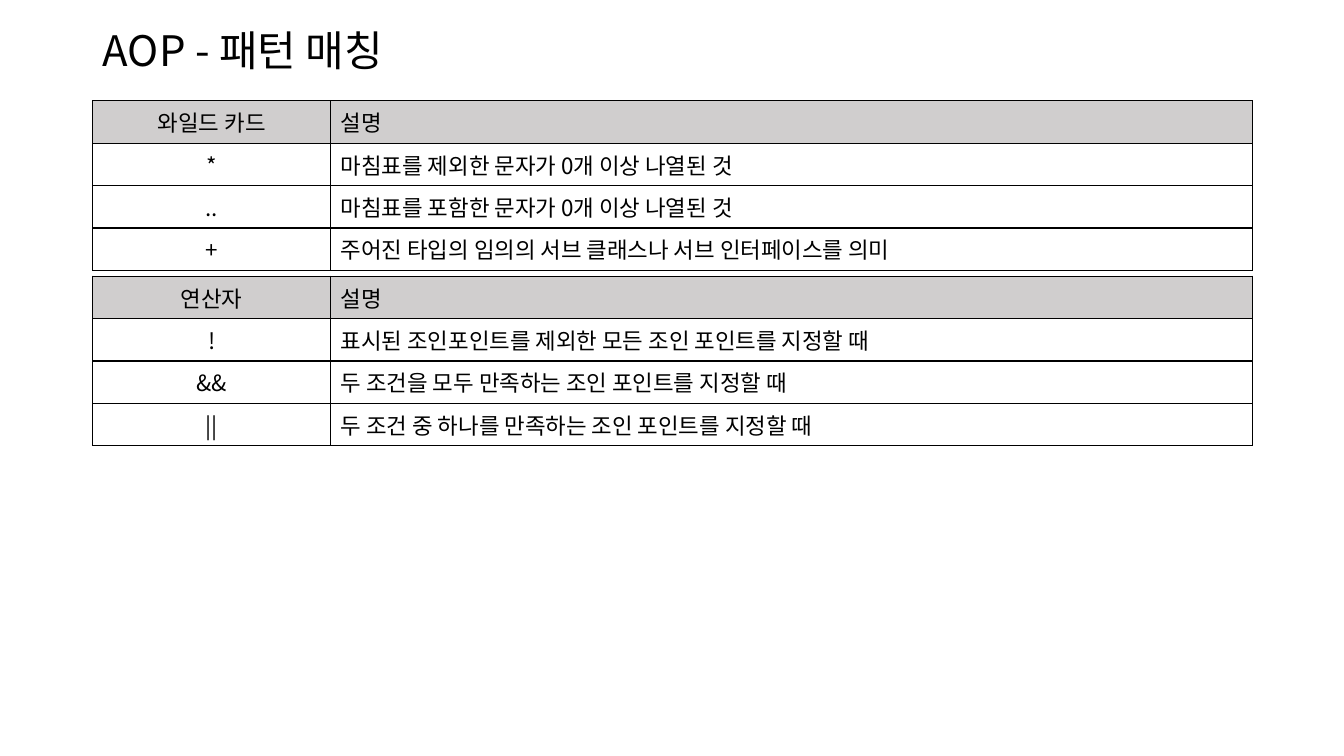
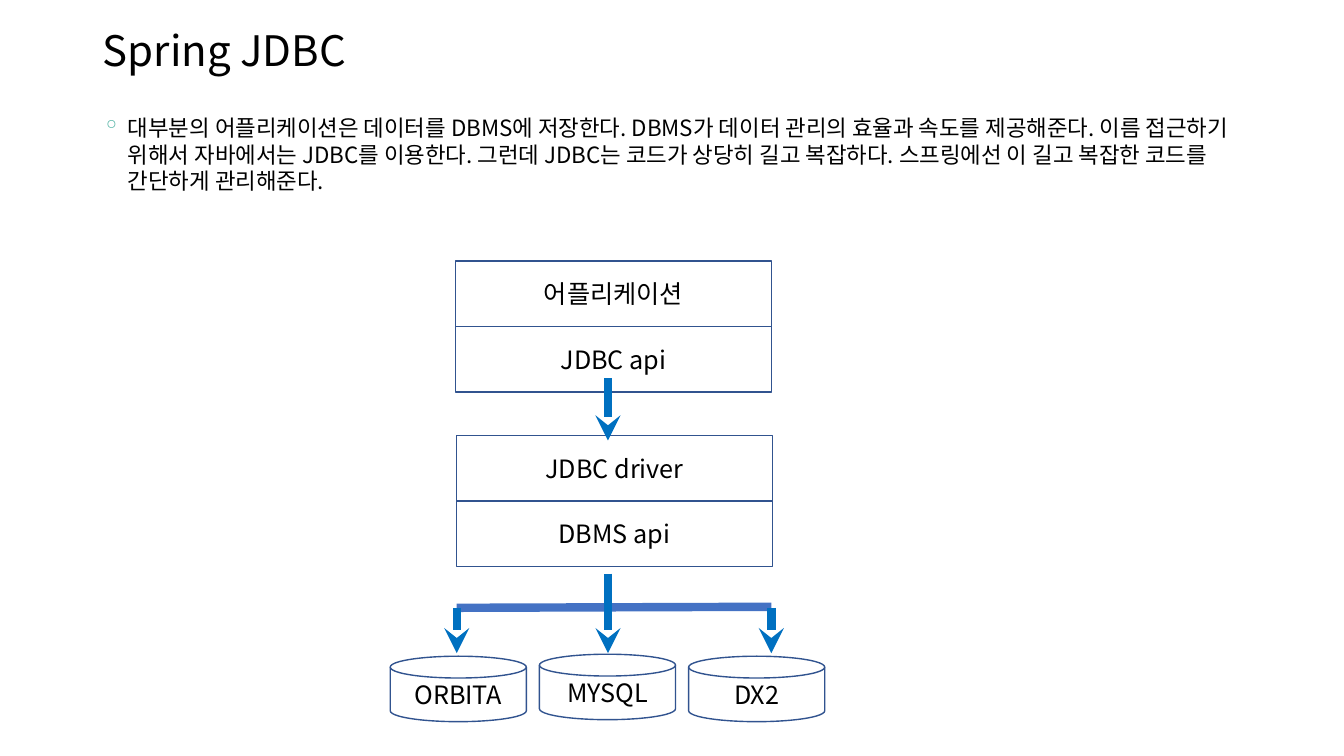
from lxml.etree import SubElement
from pptx import Presentation
from pptx.dml.color import RGBColor
from pptx.enum.shapes import MSO_CONNECTOR, MSO_SHAPE
from pptx.enum.text import MSO_ANCHOR, PP_ALIGN
from pptx.oxml import parse_xml
from pptx.oxml.ns import nsdecls, qn
from pptx.util import Inches, Pt

FONT = "Noto Sans CJK KR"
BLACK, WHITE, HEADER_GRAY = "000000", "FFFFFF", "D0CECE"
OUTLINE, ARROW_BLUE, BUS_BLUE, BULLET_GREEN = "31538F", "0070C0", "4472C4", "4BB0A0"
TITLE_ONLY = 5
LEFT, CONTENT_WIDTH = 0.92, 11.5

WILDCARDS = [
    ("와일드 카드", "설명"),
    ("*", "마침표를 제외한 문자가 0개 이상 나열된 것"),
    ("..", "마침표를 포함한 문자가 0개 이상 나열된 것"),
    ("+", "주어진 타입의 임의의 서브 클래스나 서브 인터페이스를 의미"),
]
OPERATORS = [
    ("연산자", "설명"),
    ("!", "표시된 조인포인트를 제외한 모든 조인 포인트를 지정할 때"),
    ("&&", "두 조건을 모두 만족하는 조인 포인트를 지정할 때"),
    ("||", "두 조건 중 하나를 만족하는 조인 포인트를 지정할 때"),
]
JDBC_TEXT = (
    "대부분의 어플리케이션은 데이터를 DBMS에 저장한다. DBMS가 데이터 관리의 효율과 속도를 제공해준다. "
    "이름 접근하기 위해서 자바에서는 JDBC를 이용한다. 그런데 JDBC는 코드가 상당히 길고 복잡하다. "
    "스프링에선 이 길고 복잡한 코드를 간단하게 관리해준다."
)


def color(value):
    return RGBColor.from_string(value)


def inches(*values):
    return [Inches(value) for value in values]


def write(text_frame, text, size, alignment=PP_ALIGN.LEFT, line_spacing=None, font_name=FONT):
    paragraph = text_frame.paragraphs[0]
    paragraph.alignment = alignment
    paragraph.line_spacing = line_spacing
    run = paragraph.add_run()
    run.text = text
    for name, value in {"size": Pt(size), "bold": False, "name": font_name}.items():
        setattr(run.font, name, value)
    run.font.color.rgb = color(BLACK)
    east_asian = SubElement(run.font._element, qn("a:ea"))
    east_asian.set("typeface", FONT)
    return paragraph


def add_titled_slide(presentation, text):
    slide = presentation.slides.add_slide(presentation.slide_layouts[TITLE_ONLY])
    title = slide.shapes.title
    box = zip(("left", "top", "width", "height"), inches(LEFT, 0.15, CONTENT_WIDTH, 0.76))
    for name, value in box:
        setattr(title, name, value)
    title.text_frame.vertical_anchor = MSO_ANCHOR.MIDDLE
    write(title.text_frame, text, 30, line_spacing=0.9)
    return slide


def set_borders(cell):
    properties = cell._tc.get_or_add_tcPr()
    for index, side in enumerate(("lnL", "lnR", "lnT", "lnB")):
        properties.insert(index, parse_xml(
            f'<a:{side} {nsdecls("a")} w="{Pt(1)}"><a:solidFill>'
            f'<a:srgbClr val="{BLACK}"/></a:solidFill></a:{side}>'))


def add_definition_table(slide, left, top, rows):
    column_widths, row_height = (2.36, 9.14), 0.42
    frame = slide.shapes.add_table(
        len(rows), 2, *inches(left, top, sum(column_widths), row_height * len(rows)))
    table = frame.table
    table.first_row = table.horz_banding = False
    for column, width in zip(table.columns, column_widths):
        column.width = Inches(width)
    for row_index, values in enumerate(rows):
        is_header = row_index == 0
        table.rows[row_index].height = Inches(row_height)
        for column_index, text in enumerate(values):
            cell = table.cell(row_index, column_index)
            cell.fill.solid()
            cell.fill.fore_color.rgb = color(HEADER_GRAY if is_header else WHITE)
            set_borders(cell)
            write(cell.text_frame, text, 16,
                  PP_ALIGN.LEFT if column_index else PP_ALIGN.CENTER,
                  font_name="Arial" if is_header else FONT)


def add_bullet_text(slide, left, top, width, height, text):
    text_frame = slide.shapes.add_textbox(*inches(left, top, width, height)).text_frame
    text_frame.word_wrap = True
    properties = text_frame.paragraphs[0]._p.get_or_add_pPr()
    properties.set("marL", str(Inches(0.25)))
    properties.set("indent", str(Inches(-0.25)))
    bullet_color = SubElement(properties, qn("a:buClr"))
    SubElement(bullet_color, qn("a:srgbClr")).set("val", BULLET_GREEN)
    SubElement(properties, qn("a:buChar")).set("char", "◦")
    write(text_frame, text, 16, line_spacing=1.0)


def add_node(slide, kind, left, top, width, text):
    shape = slide.shapes.add_shape(kind, *inches(left, top, width, 0.65))
    shape.shadow.inherit = False
    shape.fill.solid()
    shape.fill.fore_color.rgb = color(WHITE)
    shape.line.color.rgb = color(OUTLINE)
    shape.line.width = Pt(1)
    shape.text_frame.vertical_anchor = MSO_ANCHOR.MIDDLE
    write(shape.text_frame, text, 18, PP_ALIGN.CENTER)


def add_line(slide, start, end, line_color=ARROW_BLUE, arrow=True):
    connector = slide.shapes.add_connector(MSO_CONNECTOR.STRAIGHT, *inches(*start, *end))
    connector.line.color.rgb = color(line_color)
    connector.line.width = Pt(6)
    if arrow:
        SubElement(connector.line._get_or_add_ln(), qn("a:tailEnd")).set("type", "stealth")
    SubElement(connector._element.spPr, qn("a:effectLst"))


def add_jdbc_diagram(slide, left, top):
    """Draw the layers, the branching arrows and the databases from the top left corner."""
    layers = [(0.65, 0, "어플리케이션"), (0.65, 0.65, "JDBC api"),
              (0.66, 1.73, "JDBC driver"), (0.66, 2.38, "DBMS api")]
    databases = [(3.92, "ORBITA"), (3.9, "MYSQL"), (3.92, "DX2")]
    bus_left, trunk, bus_right = left + 0.66, left + 2.16, left + 3.78
    bus_top, arrow_end = top + 3.44, top + 3.89

    add_line(slide, (bus_left, bus_top), (bus_right, bus_top - 0.01), BUS_BLUE, arrow=False)
    for x in (bus_left, bus_right):
        add_line(slide, (x, bus_top), (x, arrow_end))
    for x, y, text in layers:
        add_node(slide, MSO_SHAPE.RECTANGLE, left + x, top + y, 3.13, text)
    for index, (y, text) in enumerate(databases):
        add_node(slide, MSO_SHAPE.FLOWCHART_MAGNETIC_DISK,
                 left + 1.48 * index, top + y, 1.35, text)
    for start, end in ((top + 3.1, arrow_end), (top + 1.16, top + 1.78)):
        add_line(slide, (trunk, start), (trunk, end))


def build_pattern_slide(presentation):
    slide = add_titled_slide(presentation, "AOP - 패턴 매칭")
    for top, rows in ((1, WILDCARDS), (2.74, OPERATORS)):
        add_definition_table(slide, LEFT, top, rows)


def build_jdbc_slide(presentation):
    slide = add_titled_slide(presentation, "Spring JDBC")
    add_bullet_text(slide, LEFT, 1.08, CONTENT_WIDTH, 5.67, JDBC_TEXT)
    add_jdbc_diagram(slide, 3.87, 2.59)


def main():
    presentation = Presentation()
    presentation.slide_width, presentation.slide_height = inches(13.33, 7.5)
    build_pattern_slide(presentation)
    build_jdbc_slide(presentation)
    presentation.save("out.pptx")


if __name__ == "__main__":
    main()
